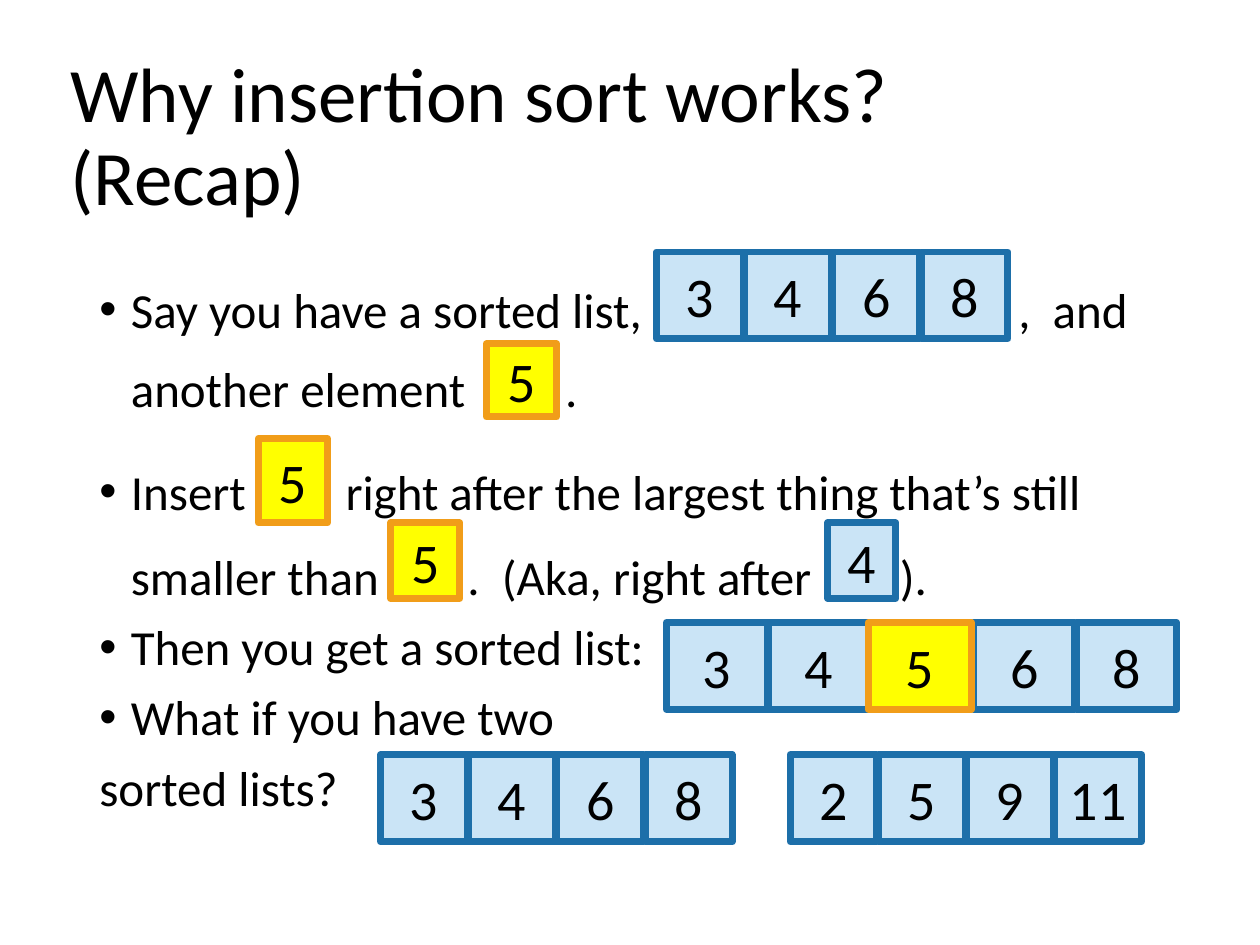
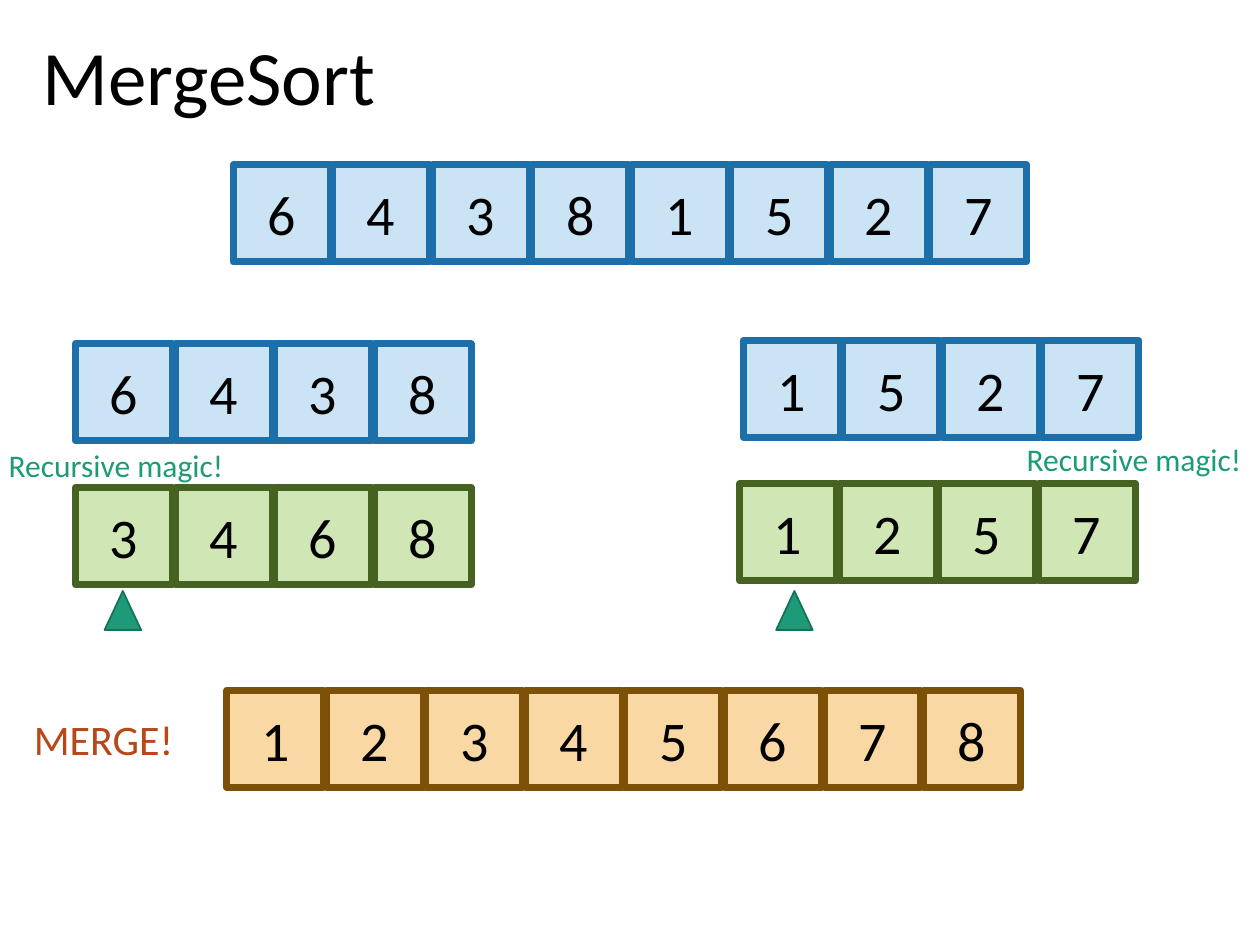
"""Build two slides on insertion sort and MergeSort."""
from lxml.etree import SubElement
from pptx import Presentation
from pptx.dml.color import RGBColor
from pptx.enum.shapes import MSO_SHAPE as Preset
from pptx.enum.text import MSO_ANCHOR as Anchor, MSO_AUTO_SIZE as AutoSize, PP_ALIGN as Align
from pptx.oxml.ns import qn
from pptx.util import Inches, Pt

COLORS = {
    "black": "000000", "white": "FFFFFF",
    "blue": "CAE4F6", "blue line": "1D6FA9",
    "yellow": "FFFF00", "yellow line": "F19D19",
    "green": "D1E6B5", "green line": "466221",
    "orange": "F9D8A3", "orange line": "7D5008",
    "teal": "1D9A78", "teal line": "157259",
    "rust": "B74919",
}
FONT = "Calibri"
SPACE_WIDTH = 6.33


def add_span(para, text, size, color="black"):
    span = para.add_run()
    span.text = text
    span.font.name = FONT
    span.font.size = Pt(size)
    span.font.color.rgb = RGBColor.from_string(COLORS[color])
    return span


def add_row(page, values, left, top, width, height, step, color, preset=Preset.RECTANGLE, weight=4):
    for index, value in enumerate(values):
        box = page.shapes.add_shape(preset, Inches(left + index * step), Inches(top),
                                    Inches(width), Inches(height))
        box.shadow.inherit = False
        box.fill.solid()
        box.fill.fore_color.rgb = RGBColor.from_string(COLORS[color])
        box.line.color.rgb = RGBColor.from_string(COLORS[color + " line"])
        box.line.width = Pt(weight)
        if value:
            box.text_frame.vertical_anchor = Anchor.MIDDLE
            para = box.text_frame.paragraphs[0]
            para.alignment = Align.CENTER
            add_span(para, value, 32)


deck = Presentation()
deck.slide_width, deck.slide_height = Inches(10), Inches(7.5)

titles = [
    ("Why insertion sort works? (Recap)", 0.46, 0.38, 8.6, 1.45),
    ("MergeSort", 0.24, 0.24, 8.6, 0.8),
]
pages = []
for text, left, top, width, height in titles:
    page = deck.slides.add_slide(deck.slide_layouts[5])
    page.background.fill.solid()
    page.background.fill.fore_color.rgb = RGBColor.from_string(COLORS["white"])
    title = page.shapes.title
    title.left, title.top = Inches(left), Inches(top)
    title.width, title.height = Inches(width), Inches(height)
    title.text_frame.auto_size = AutoSize.NONE
    title.text_frame.vertical_anchor = Anchor.MIDDLE
    para = title.text_frame.paragraphs[0]
    para.alignment = Align.LEFT
    para.line_spacing = 0.9
    add_span(para, text, 44)
    pages.append(page)
recap, merge = pages

body_lines = [
    (["Say you have a sorted list,", 34, ",", 2, "and another element", 9, "."], Pt(45.6), True),
    (["Insert", 9, "right after the largest thing that’s still smaller than", 8, ".", 2,
      "(Aka, right after", 8, ")."], Pt(48.6), True),
    (["Then you get a sorted list:"], 0.9, True),
    (["What if you have two"], 0.9, True),
    (["sorted lists?"], 0.9, False),
]
body = recap.shapes.add_textbox(Inches(0.69), Inches(2), Inches(8.62), Inches(4.76)).text_frame
body.word_wrap = True
for index, (parts, spacing, bulleted) in enumerate(body_lines):
    para = body.add_paragraph() if index else body.paragraphs[0]
    para.line_spacing = spacing
    para.space_before = Pt(10)
    if bulleted:
        properties = para._p.get_or_add_pPr()
        properties.set("marL", str(Inches(0.25)))
        properties.set("indent", str(Inches(-0.25)))
        SubElement(properties, qn("a:buFont")).set("typeface", "Arial")
        SubElement(properties, qn("a:buChar")).set("char", "•")
    for part in parts:
        if isinstance(part, str):
            add_span(para, part, 28)
        else:
            gap = add_span(para, " ", 28)
            gap.font._element.set("spc", str(round((part - 1) * SPACE_WIDTH * 100)))

for values, left, top in [("3468", 5.21, 2), ("3468", 3.02, 5.99), (["2", "5", "9", "11"], 6.27, 5.99)]:
    add_row(recap, values, left, top, 0.69, 0.69, 0.7, "blue")
for values, left in [("34", 5.29), ("68", 7.73)]:
    add_row(recap, values, left, 4.94, 0.8, 0.69, 0.81, "blue")
for value, left, top, width, height, color in [
    ("5", 6.89, 4.94, 0.82, 0.69, "yellow"),
    ("5", 3.86, 2.73, 0.56, 0.58, "yellow"),
    ("5", 2.05, 3.48, 0.55, 0.67, "yellow"),
    ("5", 3.1, 4.15, 0.55, 0.6, "yellow"),
    ("4", 6.57, 4.15, 0.54, 0.6, "blue"),
]:
    add_row(recap, value, left, top, width, height, 0, color)

for values, left, top, color in [
    ("64381527", 1.85, 1.31, "blue"),
    ("6438", 0.6, 2.73, "blue"),
    ("1527", 5.9, 2.7, "blue"),
    ("3468", 0.6, 3.87, "green"),
    ("1257", 5.87, 3.84, "green"),
    ("12345678", 1.8, 5.48, "orange"),
]:
    add_row(merge, values, left, top, 0.77, 0.77, 0.79, color)
add_row(merge, ["", ""], 0.83, 4.69, 0.29, 0.31, 5.33, "teal", Preset.ISOSCELES_TRIANGLE, 1)

for text, left, top, width, height, size, color, wraps in [
    ("Recursive magic!", 8.05, 3.44, 1.92, 0.4, 18, "teal", False),
    ("Recursive magic!", -0.03, 3.49, 1.92, 0.4, 18, "teal", False),
    ("MERGE!", 0.17, 5.61, 1.52, 0.5, 24, "rust", True),
]:
    label = merge.shapes.add_textbox(Inches(left), Inches(top), Inches(width), Inches(height)).text_frame
    label.word_wrap = wraps
    label.auto_size = AutoSize.SHAPE_TO_FIT_TEXT
    add_span(label.paragraphs[0], text, size, color)

deck.save("out.pptx")
